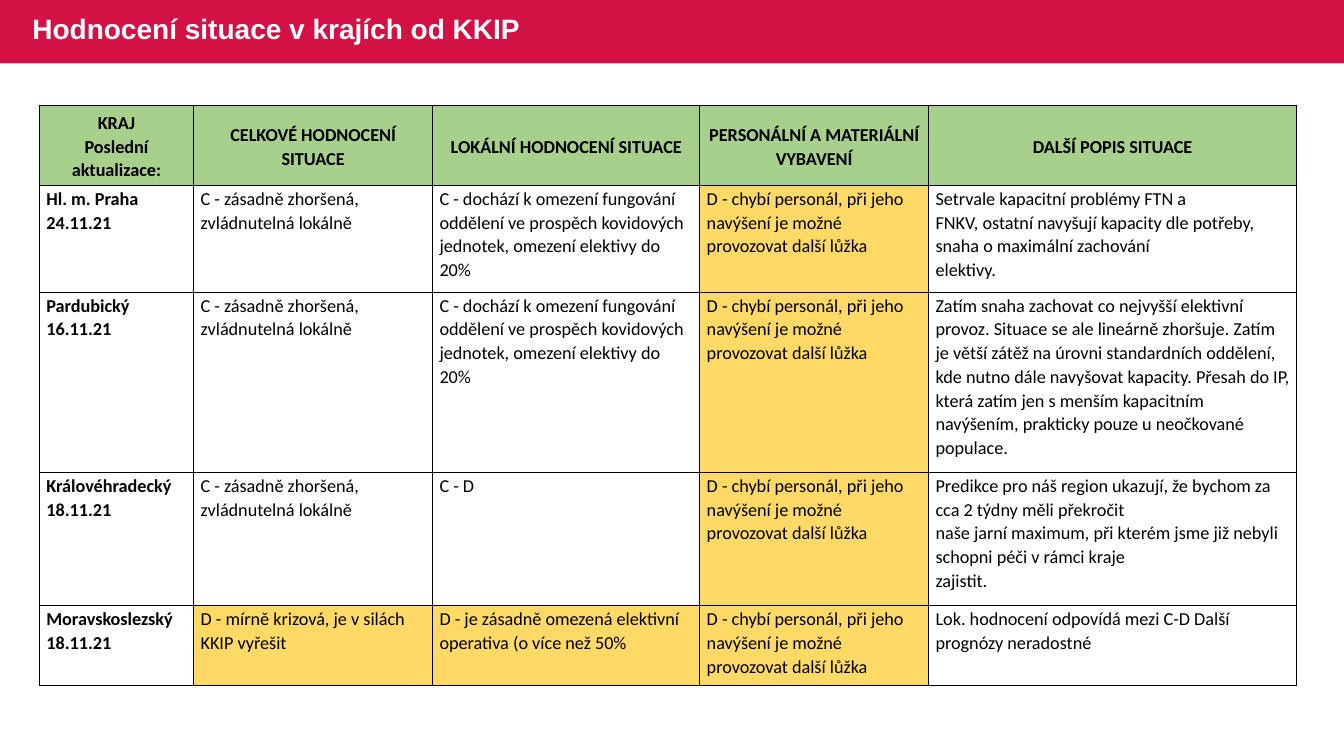
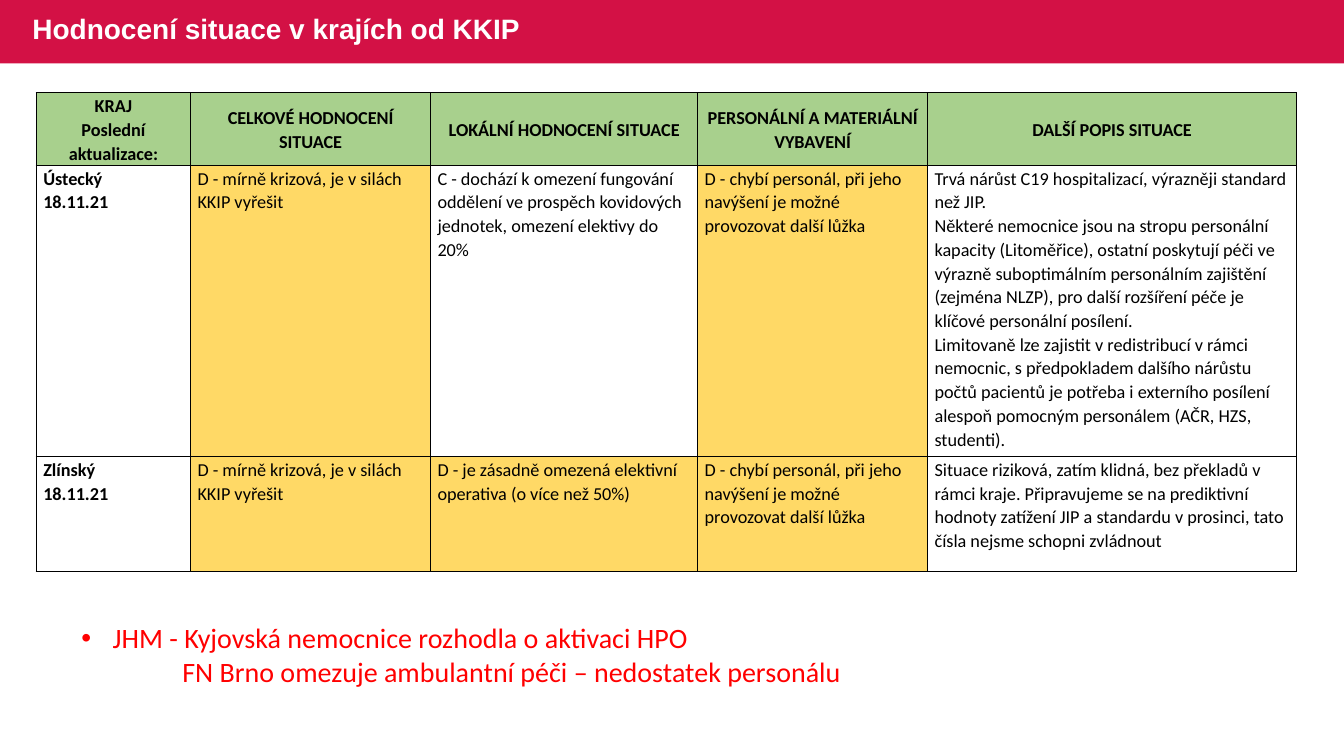
from copy import deepcopy

from pptx import Presentation
from pptx.dml.color import RGBColor
from pptx.enum.shapes import MSO_SHAPE
from pptx.enum.text import MSO_ANCHOR, MSO_AUTO_SIZE, PP_ALIGN
from pptx.oxml import parse_xml
from pptx.oxml.ns import nsdecls, qn
from pptx.util import Inches, Pt

CRIMSON = RGBColor(0xD3, 0x11, 0x45)
WHITE = RGBColor(0xFF, 0xFF, 0xFF)
BLACK = RGBColor(0x00, 0x00, 0x00)
RED = RGBColor(0xFF, 0x00, 0x00)
GREEN = RGBColor(0xA8, 0xD0, 0x8D)
YELLOW = RGBColor(0xFF, 0xD9, 0x66)

TITLE_FORMAT = {"name": "Arial", "size": Pt(20), "bold": True}
CELL_FORMAT = {"name": "Calibri", "size": Pt(13)}
NOTE_FORMAT = {"name": "Calibri", "size": Pt(20), "bold": False}
CELL_MARGINS = {
    "margin_left": Inches(0.07),
    "margin_right": Inches(0.07),
    "margin_top": Inches(0.01),
    "margin_bottom": 0,
}

SLIDE_WIDTH, SLIDE_HEIGHT = 13.33, 7.5
BAND_HEIGHT = 0.63
TITLE = "Hodnocení situace v krajích od KKIP"

HEADERS = (
    "KRAJ\nPoslední aktualizace:",
    "CELKOVÉ HODNOCENÍ SITUACE",
    "LOKÁLNÍ HODNOCENÍ SITUACE",
    "PERSONÁLNÍ A MATERIÁLNÍ VYBAVENÍ",
    "DALŠÍ POPIS SITUACE",
)

# Ratings used by several regions
OVERALL_C = "C - zásadně zhoršená, zvládnutelná lokálně"
OVERALL_D = "D - mírně krizová, je v silách KKIP vyřešit"
LOCAL_C = (
    "C - dochází k omezení fungování oddělení ve prospěch kovidových "
    "jednotek, omezení elektivy do 20%"
)
LOCAL_D = "D - je zásadně omezená elektivní operativa (o více než 50%"
STAFF_D = "D - chybí personál, při jeho navýšení je možné provozovat další lůžka"

# Region and date, overall, local, staff, description
FIRST_REGIONS = (
    ("Hl. m. Praha\n24.11.21", OVERALL_C, LOCAL_C, STAFF_D,
     "Setrvale kapacitní problémy FTN a\vFNKV, ostatní navyšují kapacity dle "
     "potřeby, snaha o maximální zachování\velektivy."),
    ("Pardubický\n16.11.21", OVERALL_C, LOCAL_C, STAFF_D,
     "Zatím snaha zachovat co nejvyšší elektivní provoz. Situace se ale "
     "lineárně zhoršuje. Zatím je větší zátěž na úrovni standardních "
     "oddělení, kde nutno dále navyšovat kapacity. Přesah do IP, která zatím "
     "jen s menším kapacitním navýšením, prakticky pouze u neočkované "
     "populace."),
    ("Královéhradecký\n18.11.21", OVERALL_C, "C - D", STAFF_D,
     "Predikce pro náš region ukazují, že bychom za cca 2 týdny měli "
     "překročit\vnaše jarní maximum, při kterém jsme již nebyli schopni péči "
     "v rámci kraje\vzajistit."),
    ("Moravskoslezský\n18.11.21", OVERALL_D, LOCAL_D, STAFF_D,
     "Lok. hodnocení odpovídá mezi C-D Další prognózy neradostné"),
)
SECOND_REGIONS = (
    ("Ústecký\n18.11.21", OVERALL_D, LOCAL_C, STAFF_D,
     "Trvá nárůst C19 hospitalizací, výrazněji standard než JIP.\n"
     "Některé nemocnice jsou na stropu personální kapacity (Litoměřice), "
     "ostatní poskytují péči ve výrazně suboptimálním personálním zajištění "
     "(zejména NLZP), pro další rozšíření péče je klíčové personální "
     "posílení.\n"
     "Limitovaně lze zajistit v redistribucí v rámci nemocnic, s předpokladem "
     "dalšího nárůstu počtů pacientů je potřeba i externího posílení alespoň "
     "pomocným personálem (AČR, HZS, studenti)."),
    ("Zlínský\n18.11.21", OVERALL_D, LOCAL_D + ")", STAFF_D,
     "Situace riziková, zatím klidná, bez překladů v rámci kraje. "
     "Připravujeme se na prediktivní hodnoty zatížení JIP a standardu v "
     "prosinci, tato čísla nejsme schopni zvládnout"),
)
NOTES = (
    "JHM - Kyjovská nemocnice rozhodla o aktivaci HPO",
    "FN Brno omezuje ambulantní péči – nedostatek personálu",
)


def set_attributes(target, values):
    for name, value in values.items():
        setattr(target, name, value)


def format_text(text_frame, font_format, color, **paragraph_format):
    """Format every paragraph, run and line break of a text frame."""
    for paragraph in text_frame.paragraphs:
        set_attributes(paragraph, paragraph_format)
        for run in paragraph.runs:
            set_attributes(run.font, font_format)
            run.font.color.rgb = color
        for line_break in paragraph._p.findall(qn("a:br")):
            line_break.append(deepcopy(paragraph.runs[0]._r.rPr))


def add_band(slide):
    """Draw the title band and hand it to the layout the slides share."""
    band = slide.shapes.add_shape(
        MSO_SHAPE.RECTANGLE, 0, 0, Inches(SLIDE_WIDTH), Inches(BAND_HEIGHT))
    band.shadow.inherit = False
    band.fill.solid()
    band.fill.fore_color.rgb = CRIMSON
    band.line.fill.background()
    slide.slide_layout.shapes.element.insert(2, band.element)


def add_title(slide, left, top, width, height):
    title = slide.shapes.title
    set_attributes(title, {"left": Inches(left), "top": Inches(top),
                           "width": Inches(width), "height": Inches(height)})
    text_frame = title.text_frame
    text_frame.text = TITLE
    text_frame.auto_size = MSO_AUTO_SIZE.NONE
    text_frame.vertical_anchor = MSO_ANCHOR.MIDDLE
    format_text(text_frame, TITLE_FORMAT, WHITE,
                alignment=PP_ALIGN.LEFT, line_spacing=0.9)


def add_borders(cell):
    properties = cell._tc.get_or_add_tcPr()
    for position, side in enumerate(("lnL", "lnR", "lnT", "lnB")):
        properties.insert(position, parse_xml(
            f'<a:{side} {nsdecls("a")} w="{Pt(1)}"><a:solidFill>'
            f'<a:srgbClr val="{BLACK}"/></a:solidFill></a:{side}>'))


def fill_cell(cell, text, is_header, is_region):
    if is_header:
        color = GREEN
    else:
        color = YELLOW if text.startswith("D - ") else WHITE
    cell.fill.solid()
    cell.fill.fore_color.rgb = color
    add_borders(cell)
    set_attributes(cell, CELL_MARGINS)
    cell.vertical_anchor = MSO_ANCHOR.MIDDLE if is_header else MSO_ANCHOR.TOP
    cell.text_frame.text = text
    format_text(cell.text_frame,
                {**CELL_FORMAT, "bold": is_header or is_region}, BLACK,
                alignment=PP_ALIGN.CENTER if is_header else PP_ALIGN.LEFT,
                line_spacing=1.07)


def add_region_table(slide, left, top, widths, heights, regions):
    rows = (HEADERS, *regions)
    table = slide.shapes.add_table(
        len(rows), len(HEADERS), Inches(left), Inches(top),
        Inches(sum(widths)), Inches(sum(heights))).table
    table.first_row = table.horz_banding = False
    for column, width in zip(table.columns, widths):
        column.width = Inches(width)
    for row, height in zip(table.rows, heights):
        row.height = Inches(height)
    for row_index, texts in enumerate(rows):
        for column_index, text in enumerate(texts):
            fill_cell(table.cell(row_index, column_index), text,
                      row_index == 0, column_index == 0)


def add_notes_box(slide, left, top, width, height):
    box = slide.shapes.add_textbox(
        Inches(left), Inches(top), Inches(width), Inches(height))
    text_frame = box.text_frame
    text_frame.word_wrap = True
    text_frame.text = "\n".join(NOTES)
    # Bulleted first line, second line indented beneath it
    bulleted, indented = (
        paragraph._p.get_or_add_pPr() for paragraph in text_frame.paragraphs)
    bulleted.set("marL", str(Inches(0.31)))
    bulleted.set("indent", str(-Inches(0.31)))
    bulleted.append(parse_xml(f'<a:buFont {nsdecls("a")} typeface="Arial"/>'))
    bulleted.append(parse_xml(f'<a:buChar {nsdecls("a")} char="•"/>'))
    indented.set("marL", str(Inches(1)))
    format_text(text_frame, NOTE_FORMAT, RED)


def add_region_slide(presentation, **table_format):
    slide = presentation.slides.add_slide(presentation.slide_layouts[5])
    add_title(slide, 0.22, -0.01, 8.14, BAND_HEIGHT)
    add_region_table(slide, **table_format)
    return slide


def main():
    presentation = Presentation()
    presentation.slide_width = Inches(SLIDE_WIDTH)
    presentation.slide_height = Inches(SLIDE_HEIGHT)

    first_slide = add_region_slide(
        presentation, left=0.39, top=1.05,
        widths=(1.53, 2.37, 2.65, 2.27, 3.65),
        heights=(0.79, 1.06, 1.79, 1.32, 0.79), regions=FIRST_REGIONS)
    add_band(first_slide)

    second_slide = add_region_slide(
        presentation, left=0.36, top=0.92,
        widths=(1.53, 2.38, 2.65, 2.28, 3.66),
        heights=(0.72, 2.89, 1.14), regions=SECOND_REGIONS)
    add_notes_box(second_slide, 0.71, 6.11, 8.18, 1.11)

    presentation.save("out.pptx")


if __name__ == "__main__":
    main()
